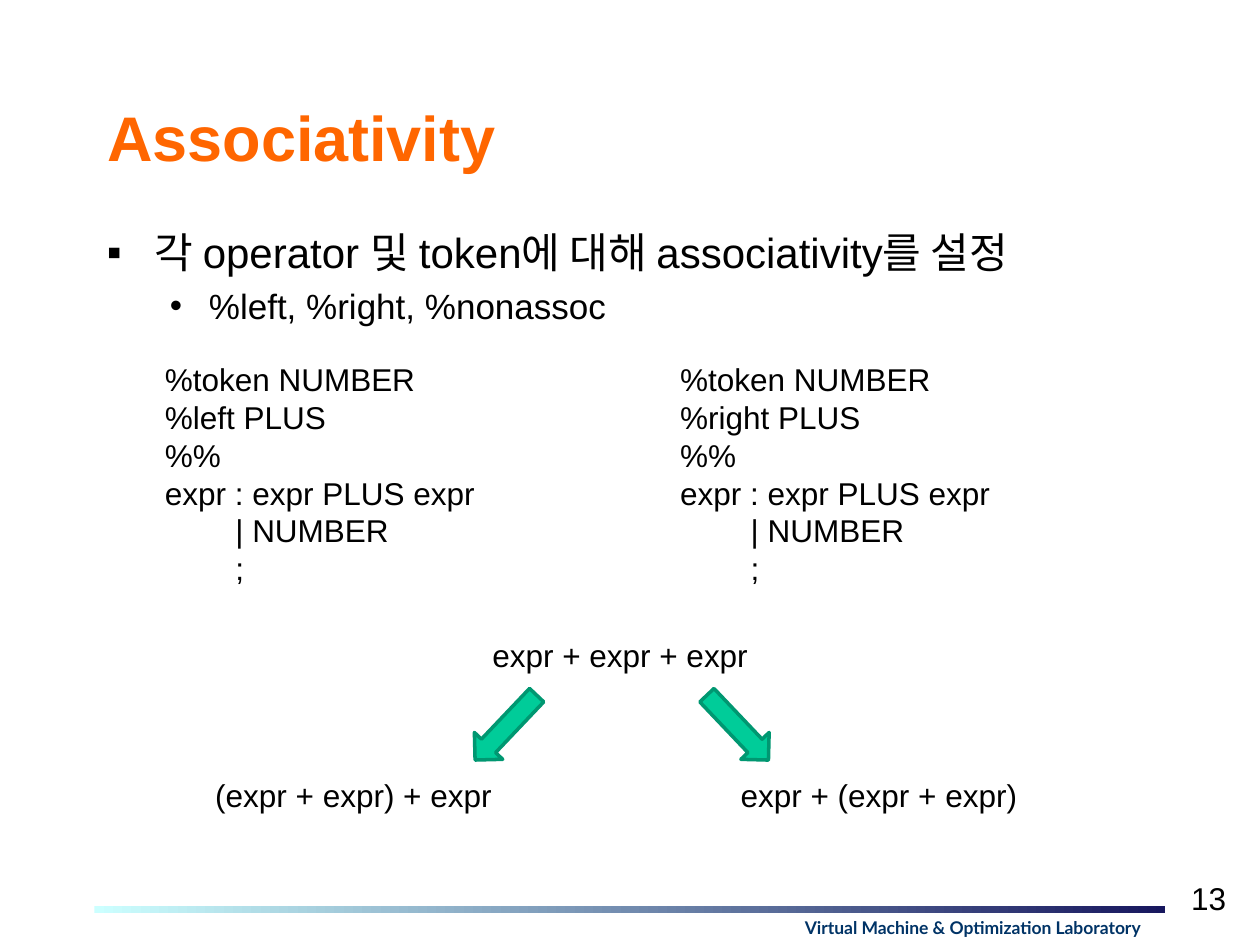
"""Build the Associativity slide: grammar declarations and how each groups an expression."""
from lxml import etree
from pptx import Presentation
from pptx.dml.color import RGBColor
from pptx.enum.shapes import MSO_SHAPE
from pptx.enum.text import MSO_ANCHOR, PP_ALIGN
from pptx.oxml.ns import qn
from pptx.util import Inches, Pt

LEFT, CENTER, RIGHT = PP_ALIGN.LEFT, PP_ALIGN.CENTER, PP_ALIGN.RIGHT
MIDDLE = MSO_ANCHOR.MIDDLE
RECTANGLE, DOWN_ARROW = MSO_SHAPE.RECTANGLE, MSO_SHAPE.DOWN_ARROW
BLACK = RGBColor(0x00, 0x00, 0x00)
ORANGE = RGBColor(0xFF, 0x66, 0x00)
NAVY = RGBColor(0x00, 0x33, 0x66)
BAR_START = RGBColor(0xCC, 0xFF, 0xFF)
BAR_END = RGBColor(0x17, 0x17, 0x5E)
GREEN = RGBColor(0x00, 0xCC, 0x99)
DARK_GREEN = RGBColor(0x00, 0x97, 0x71)

TITLE = "Associativity"
BULLETS = [
    ("각 operator 및 token에 대해 associativity를 설정", 24, "▪", 0.38, 0.38),
    ("%left, %right, %nonassoc", 20, "•", 0.81, 0.31),
]
GRAMMARS = [("%left", 1.21), ("%right", 5.3)]
RULE_LINES = [("expr : expr PLUS expr", 0), ("| NUMBER", 0.56), (";", 0.56)]
EXPRESSIONS = [
    ("expr + expr + expr", 3.81, 5, 2.3),
    ("(expr + expr) + expr", 1.61, 6.11, 2.6),
    ("expr + (expr + expr)", 5.78, 6.11, 2.6),
]
ARROWS = [(3.86, 43.5), (5.7, 316.5)]
LABORATORY = "Virtual Machine & Optimization Laboratory"
PAGE = "13"


def add_run(paragraph, text, size=18, color=BLACK, font="Arial", bold=False):
    run = paragraph.add_run()
    run.text = text
    run.font.size = Pt(size)
    run.font.name = font
    run.font.bold = bold
    run.font.color.rgb = color


def add_frame(slide, left, top, width, height):
    frame = slide.shapes.add_textbox(
        Inches(left), Inches(top), Inches(width), Inches(height)).text_frame
    frame.word_wrap = True
    return frame


def next_paragraph(frame, index):
    return frame.add_paragraph() if index else frame.paragraphs[0]


def indent(paragraph, margin, hanging=0, bullet=None):
    properties = paragraph._p.get_or_add_pPr()
    properties.set("marL", str(Inches(margin)))
    properties.set("indent", str(-Inches(hanging)))
    if bullet:
        etree.SubElement(properties, qn("a:buFont")).set("typeface", "Arial")
        etree.SubElement(properties, qn("a:buChar")).set("char", bullet)


prs = Presentation()
prs.slide_width, prs.slide_height = Inches(10), Inches(7.5)
slide = prs.slides.add_slide(prs.slide_layouts[5])

title = slide.shapes.title
title.left, title.top = Inches(0.75), Inches(0.67)
title.width, title.height = Inches(8.5), Inches(0.83)
title.text_frame.vertical_anchor = MIDDLE
heading = title.text_frame.paragraphs[0]
heading.alignment = LEFT
add_run(heading, TITLE, 36, ORANGE, bold=True)

bar = slide.shapes.add_shape(
    RECTANGLE, Inches(0.75), Inches(7.19), Inches(8.5), Inches(0.06))
bar.shadow.inherit = False
bar.line.fill.background()
bar.fill.gradient()
bar.fill.gradient_angle = 0
for stop, color, position in zip(bar.fill.gradient_stops, (BAR_START, BAR_END), (0, 1)):
    stop.color.rgb = color
    stop.position = position

laboratory = add_frame(slide, 5.67, 7.23, 4.1, 0.27).paragraphs[0]
laboratory.alignment = CENTER
add_run(laboratory, LABORATORY, 10, NAVY, "Lato", True)

page_frame = add_frame(slide, 9.33, 6.93, 0.5, 0.4)
page_frame.word_wrap = False
page_frame.vertical_anchor = MIDDLE
page_frame.paragraphs[0].alignment = RIGHT
add_run(page_frame.paragraphs[0], PAGE)

body = add_frame(slide, 0.75, 1.75, 8.5, 1.05)
for index, (text, size, bullet, margin, hanging) in enumerate(BULLETS):
    point = next_paragraph(body, index)
    point.level = index
    point.space_before = Pt(size * 0.2)
    indent(point, margin, hanging, bullet)
    add_run(point, text, size)

for keyword, left in GRAMMARS:
    grammar = add_frame(slide, left, 2.81, 4.09, 1.92)
    declarations = [("%token NUMBER", 0), (f"{keyword} PLUS", 0), ("%%", 0)]
    for index, (text, margin) in enumerate(declarations + RULE_LINES):
        code_line = next_paragraph(grammar, index)
        indent(code_line, margin)
        add_run(code_line, text)

for text, left, top, width in EXPRESSIONS:
    add_run(add_frame(slide, left, top, width, 0.4).paragraphs[0], text)

for left, rotation in ARROWS:
    arrow = slide.shapes.add_shape(
        DOWN_ARROW, Inches(left), Inches(5.42), Inches(0.31), Inches(0.71))
    arrow.rotation = rotation
    arrow.shadow.inherit = False
    arrow.fill.solid()
    arrow.fill.fore_color.rgb = GREEN
    arrow.line.color.rgb = DARK_GREEN
    arrow.line.width = Pt(2)

prs.save("out.pptx")
